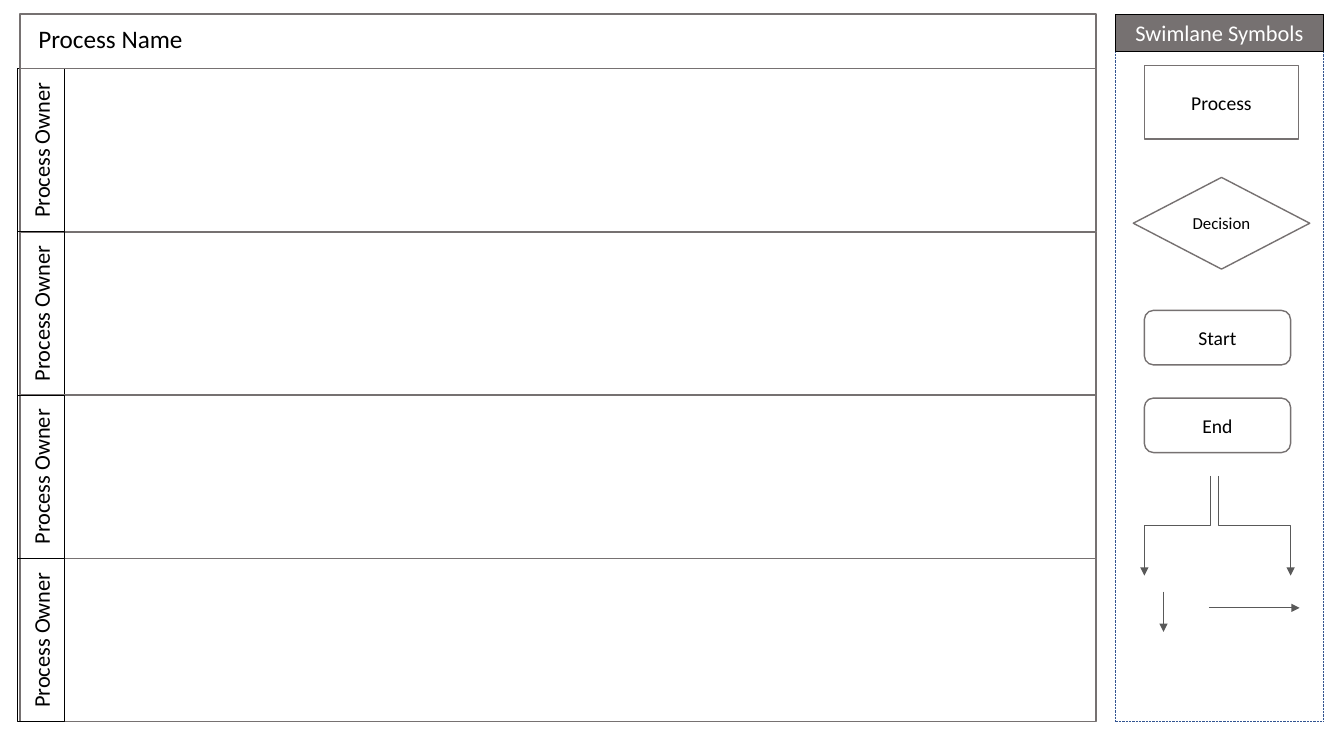
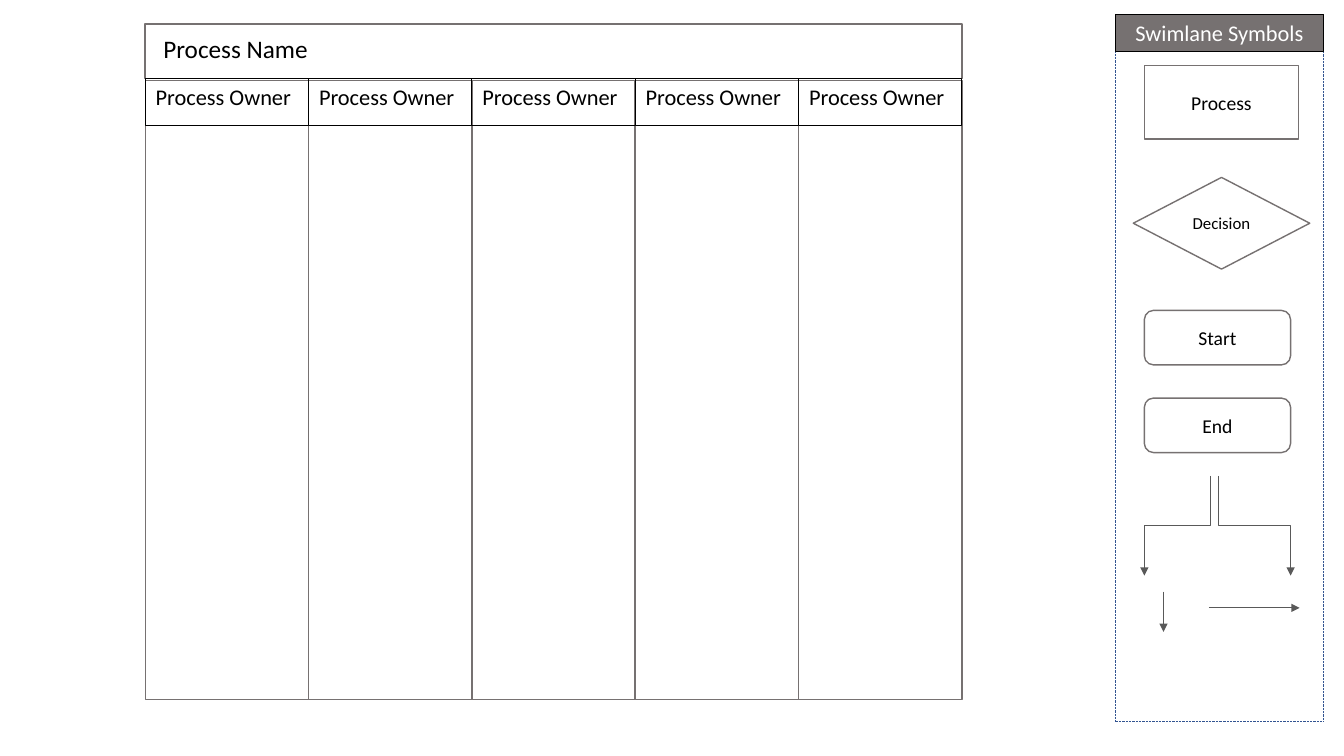
from lxml import etree
from pptx import Presentation
from pptx.dml.color import RGBColor
from pptx.enum.dml import MSO_LINE
from pptx.enum.shapes import MSO_CONNECTOR as CONN, MSO_SHAPE as SHAPE
from pptx.enum.text import MSO_ANCHOR as ANCHOR, MSO_AUTO_SIZE as AUTO, PP_ALIGN as ALIGN
from pptx.oxml.ns import qn
from pptx.util import Inches, Pt

FONT = "Calibri"
BLACK, WHITE, GRAY, ARROW, PANEL = "000000", "FFFFFF", "767171", "595959", "325491"
LANE, HEADER, BAND = 1.62, 0.47, 0.54
OWNER = "Process Owner"


def rgb(value):
    return RGBColor.from_string(value)


def write(sp, text, size, color=BLACK, align=ALIGN.CENTER, **frame):
    tf = sp.text_frame
    settings = {"word_wrap": True, "auto_size": AUTO.NONE, "vertical_anchor": ANCHOR.MIDDLE}
    for name, value in {**settings, **frame}.items():
        setattr(tf, name, value)
    p = tf.paragraphs[0]
    p.alignment = align
    r = p.add_run()
    r.text = text
    for name, value in {"name": FONT, "size": Pt(size), "bold": False}.items():
        setattr(r.font, name, value)
    r.font.color.rgb = rgb(color)


def box(s, x, y, w, h, kind=SHAPE.RECTANGLE, line=GRAY, width=1, fill=None):
    sp = s.shapes.add_shape(kind, Inches(x), Inches(y), Inches(w), Inches(h))
    sp.shadow.inherit = False
    if fill:
        sp.fill.solid()
        sp.fill.fore_color.rgb = rgb(fill)
    else:
        sp.fill.background()
    sp.line.color.rgb = rgb(line)
    sp.line.width = Pt(width)
    return sp


def arrow(s, x1, y1, x2, y2, kind=CONN.STRAIGHT):
    c = s.shapes.add_connector(kind, Inches(x1), Inches(y1), Inches(x2), Inches(y2))
    c.line.color.rgb = rgb(ARROW)
    c.line.width = Pt(0.5)
    etree.SubElement(c.line._get_or_add_ln(), qn("a:tailEnd"), type="triangle")
    etree.SubElement(c._element.spPr, qn("a:effectLst"))
    return c


def branch(s, x1, y1, x2, y2):
    side = 1 if x2 > x1 else -1
    cx, cy = (x1 + x2) / 2, (y1 + y2) / 2
    reach, drop = abs(x2 - x1) / 2, (y2 - y1) / 2
    c = arrow(s, cx + side * drop, cy - reach, cx - side * drop, cy + reach, CONN.ELBOW)
    degrees = 270 if side > 0 else 90
    c._element.spPr.find(qn("a:xfrm")).set("rot", str(degrees * 60000))


def process_title(s, x, y, w):
    box(s, x, y, w, BAND)
    title = s.shapes.title
    place = {"left": x + 0.08, "top": y + 0.04, "width": w - 0.2, "height": 0.4}
    for name, value in place.items():
        setattr(title, name, Inches(value))
    write(title, "Process Name", 18, align=ALIGN.LEFT, vertical_anchor=ANCHOR.TOP)


def owner(s, x, y, w, h, **frame):
    sp = box(s, x, y, w, h, line=BLACK, width=0.75)
    write(sp, OWNER, 16, **frame)
    return sp


def row_lane(s, y):
    box(s, 0.2, y, 10.67, LANE)
    sp = owner(s, 0.17, y, HEADER, LANE, margin_left=Inches(0.05))
    sp.text_frame._txBody.bodyPr.set("vert", "vert270")


def column_lane(s, x, y):
    box(s, x, y + 0.02, LANE, 6.14)
    owner(s, x, y, LANE, HEADER, vertical_anchor=ANCHOR.TOP,
          margin_left=Inches(0.08), margin_right=Inches(0.15))


def symbols_panel(s):
    symbols = [
        ("Process", SHAPE.RECTANGLE, 11.35, 0.65, 1.53, 0.73, 14),
        ("Decision", SHAPE.DIAMOND, 11.24, 1.76, 1.75, 0.91, 12),
        ("Start", SHAPE.ROUNDED_RECTANGLE, 11.35, 3.08, 1.45, BAND, 14),
        ("End", SHAPE.ROUNDED_RECTANGLE, 11.35, 3.95, 1.45, BAND, 14),
    ]
    for text, kind, x, y, w, h, size in symbols:
        write(box(s, x, y, w, h, kind), text, size)
    branch(s, 12.08, 4.72, 12.8, 5.71)
    branch(s, 12, 4.72, 11.35, 5.71)
    arrow(s, 11.99, 6.03, 12.89, 6.03)
    arrow(s, 11.54, 5.87, 11.54, 6.27)
    panel = box(s, 11.06, 0.14, 2.07, 7.02, line=PANEL, width=0.5)
    panel.line.dash_style = MSO_LINE.ROUND_DOT
    heading = box(s, 11.06, 0.14, 2.07, 0.37, line=BLACK, width=0.75, fill=GRAY)
    write(heading, "Swimlane Symbols", 16, WHITE)


def horizontal_slide(s):
    top = 0.14
    for i in range(4):
        row_lane(s, top + BAND + i * LANE)
    symbols_panel(s)
    process_title(s, 0.2, top, 10.67)


def vertical_slide(s):
    left, top, count = 1.44, 0.24, 5
    symbols_panel(s)
    process_title(s, left, top, count * LANE)
    for i in range(count):
        column_lane(s, left + i * LANE, top + BAND)


def main():
    prs = Presentation()
    prs.slide_width, prs.slide_height = Inches(13.33), Inches(7.5)
    for build in (horizontal_slide, vertical_slide):
        build(prs.slides.add_slide(prs.slide_layouts[5]))
    prs.save("out.pptx")


if __name__ == "__main__":
    main()
